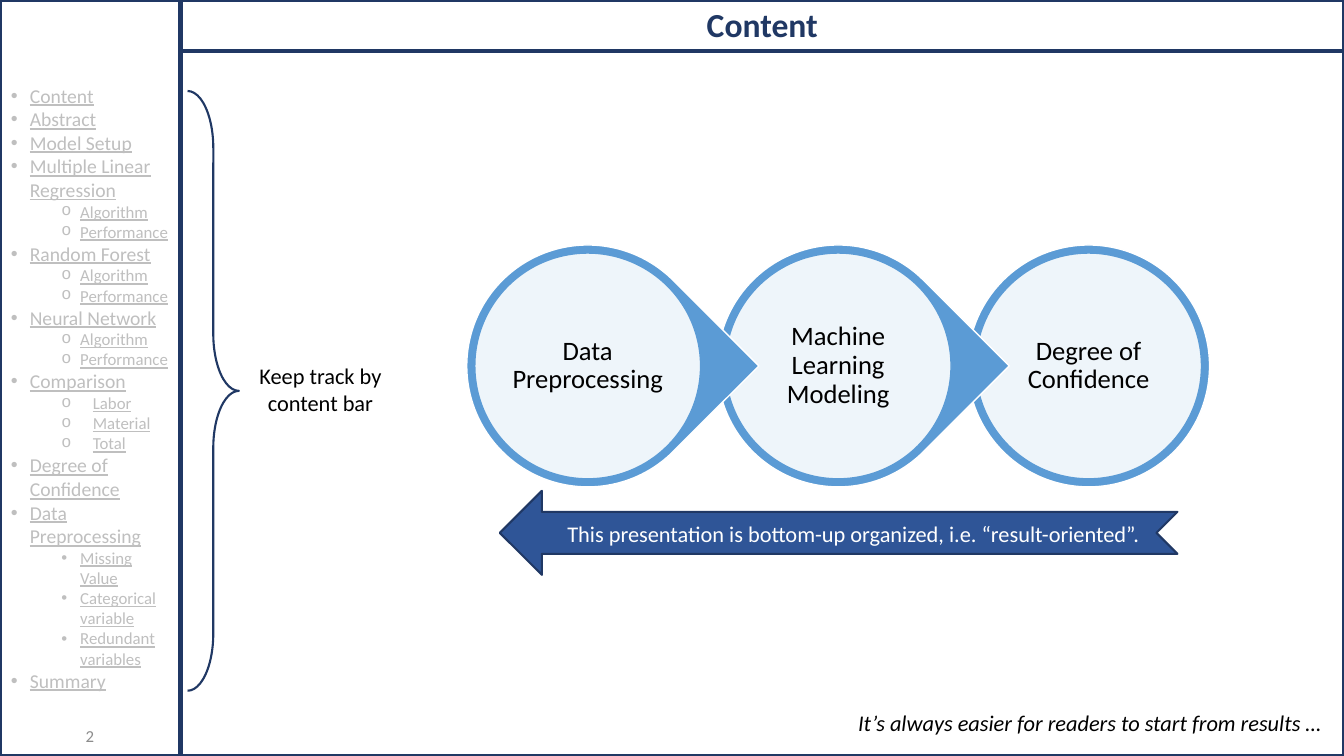
import pptx
import pptx.util
import pptx.dml.color
import pptx.enum.shapes
import pptx.enum.text
import lxml.etree

Pt = pptx.util.Pt
RGB = pptx.dml.color.RGBColor
KIND = pptx.enum.shapes.MSO_SHAPE
ALIGN = pptx.enum.text.PP_ALIGN
ANCHOR = pptx.enum.text.MSO_ANCHOR
NS = "{http://schemas.openxmlformats.org/drawingml/2006/main}"

NAVY = RGB(0x20, 0x38, 0x64)
ROYAL = RGB(0x2F, 0x55, 0x97)
SKY = RGB(0x5B, 0x9B, 0xD5)
WHITE = RGB(0xFF, 0xFF, 0xFF)
BLACK = RGB(0, 0, 0)
SILVER = RGB(0xBF, 0xBF, 0xBF)
GRAY = RGB(0x8C, 0x8C, 0x8C)

MENU = [
    ("Content", "", []),
    ("Abstract", "", []),
    ("Model Setup", "", []),
    ("Multiple Linear Regression", "o", ["Algorithm", "Performance"]),
    ("Random Forest", "o", ["Algorithm", "Performance"]),
    ("Neural Network", "o", ["Algorithm", "Performance"]),
    ("Comparison", "o", ["Labor", "Material", "Total"]),
    ("Degree of Confidence", "", []),
    ("Data Preprocessing", "•",
     ["Missing Value", "Categorical variable", "Redundant variables"]),
    ("Summary", "", []),
]
STEPS = ["Data Preprocessing", "Machine Learning Modeling", "Degree of Confidence"]


def write(frame, text, size=16, color=BLACK, align=ALIGN.CENTER, bold=False,
          italic=False, under=False, space=None, font="Calibri"):
    para = frame.paragraphs[-1]
    if para.runs:
        para = frame.add_paragraph()
    para.alignment = align
    if space:
        para.line_spacing = space
    run = para.add_run()
    run.text = text
    run.font.name = font
    run.font.size = Pt(size)
    run.font.color.rgb = color
    run.font.bold = bold
    run.font.italic = italic
    run.font.underline = under
    return para


class Deck:
    def __init__(self, width, height):
        self.show = pptx.Presentation()
        self.show.slide_width = Pt(width)
        self.show.slide_height = Pt(height)
        self.slide = self.show.slides.add_slide(self.show.slide_layouts[6])
        self.items = self.slide.shapes

    def shape(self, kind, left, top, width, height, fill=None, line=NAVY,
              weight=1, turn=0, alpha=None, adjust=()):
        item = self.items.add_shape(kind, Pt(left), Pt(top), Pt(width), Pt(height))
        item.shadow.inherit = False
        item.rotation = turn
        for i, value in enumerate(adjust):
            item.adjustments[i] = value
        if fill is None:
            item.fill.background()
        else:
            item.fill.solid()
            item.fill.fore_color.rgb = fill
        if alpha:
            tint = item._element.spPr.find(f"{NS}solidFill/{NS}srgbClr")
            lxml.etree.SubElement(tint, NS + "alpha", val=str(alpha * 1000))
        item.line.color.rgb = line
        item.line.width = Pt(weight)
        return item

    def line(self, left, top, right, bottom):
        item = self.items.add_connector(
            pptx.enum.shapes.MSO_CONNECTOR.STRAIGHT,
            Pt(left), Pt(top), Pt(right), Pt(bottom))
        item.line.color.rgb = NAVY
        item.line.width = Pt(3)
        lxml.etree.SubElement(item._element.spPr, NS + "effectLst")

    def box(self, left, top, width, height, anchor=ANCHOR.TOP, inset=None, wrap=True):
        item = self.items.add_textbox(Pt(left), Pt(top), Pt(width), Pt(height))
        frame = item.text_frame
        frame.word_wrap = wrap
        frame.vertical_anchor = anchor
        if inset is not None:
            frame.margin_left = frame.margin_right = Pt(inset)
            frame.margin_top = frame.margin_bottom = Pt(inset)
        return frame

    def bullet(self, frame, text, mark, size, margin, hang, level=0):
        para = write(frame, text, size=size, color=SILVER, align=ALIGN.LEFT, under=True)
        para.level = level
        props = para._p.get_or_add_pPr()
        props.set("marL", str(Pt(margin)))
        props.set("indent", str(-Pt(hang)))
        face = "Courier New" if mark == "o" else "Arial"
        lxml.etree.SubElement(props, NS + "buFont", typeface=face)
        lxml.etree.SubElement(props, NS + "buChar", char=mark)

    def menu(self, frame):
        for head, mark, subs in MENU:
            self.bullet(frame, head, "•", 14, 13.5, 13.5)
            hang = 22.5 if head == "Comparison" else 13.5
            for sub in subs:
                self.bullet(frame, sub, mark, 12, 36 + hang, hang, 1)

    def step(self, text, left, top, last):
        kind = KIND.OVAL if last else KIND.TEAR
        turn = 0 if last else 45
        self.shape(kind, left, top, 172.8, 172.8, SKY, WHITE, turn=turn)
        self.shape(KIND.OVAL, left + 5.76, top + 5.76, 161.28, 161.28, WHITE, SKY, alpha=90)
        frame = self.box(left + 28.8, top + 28.8, 115.2, 115.2, ANCHOR.MIDDLE, 2)
        write(frame, text, size=19, space=0.9)


def main():
    deck = Deck(960, 540)
    deck.shape(KIND.RECTANGLE, 0, 0, 960, 540, weight=3)
    write(deck.box(26.5, 511, 75.5, 29, ANCHOR.MIDDLE), "2", size=12, color=GRAY)
    deck.menu(deck.box(0.75, 56.2, 128.2, 461))

    write(deck.box(129, -0.7, 831, 36), "Content", size=24, color=NAVY, bold=True)
    deck.line(129, 0, 129, 540)
    deck.line(129, 36.5, 960, 36.5)

    deck.shape(KIND.RIGHT_BRACE, 134, 65, 36.7, 428.4, weight=1.5, adjust=(1.11, 0.5))
    write(deck.box(170.6, 255, 116.6, 46), "Keep track by content bar")

    for i in reversed(range(len(STEPS))):
        deck.step(STEPS[i], 333.4 + 178.9 * i, 175, i == len(STEPS) - 1)

    deck.shape(KIND.NOTCHED_RIGHT_ARROW, 357, 350.6, 484, 60, ROYAL, weight=1.5, turn=180)
    write(deck.box(391.5, 368, 436.3, 26.6),
          "This presentation is bottom-up organized, i.e. “result-oriented”.", color=WHITE)
    write(deck.box(603.4, 503.3, 350, 26.6, wrap=False),
          "It’s always easier for readers to start from results …", italic=True)
    deck.show.save("out.pptx")


if __name__ == "__main__":
    main()
